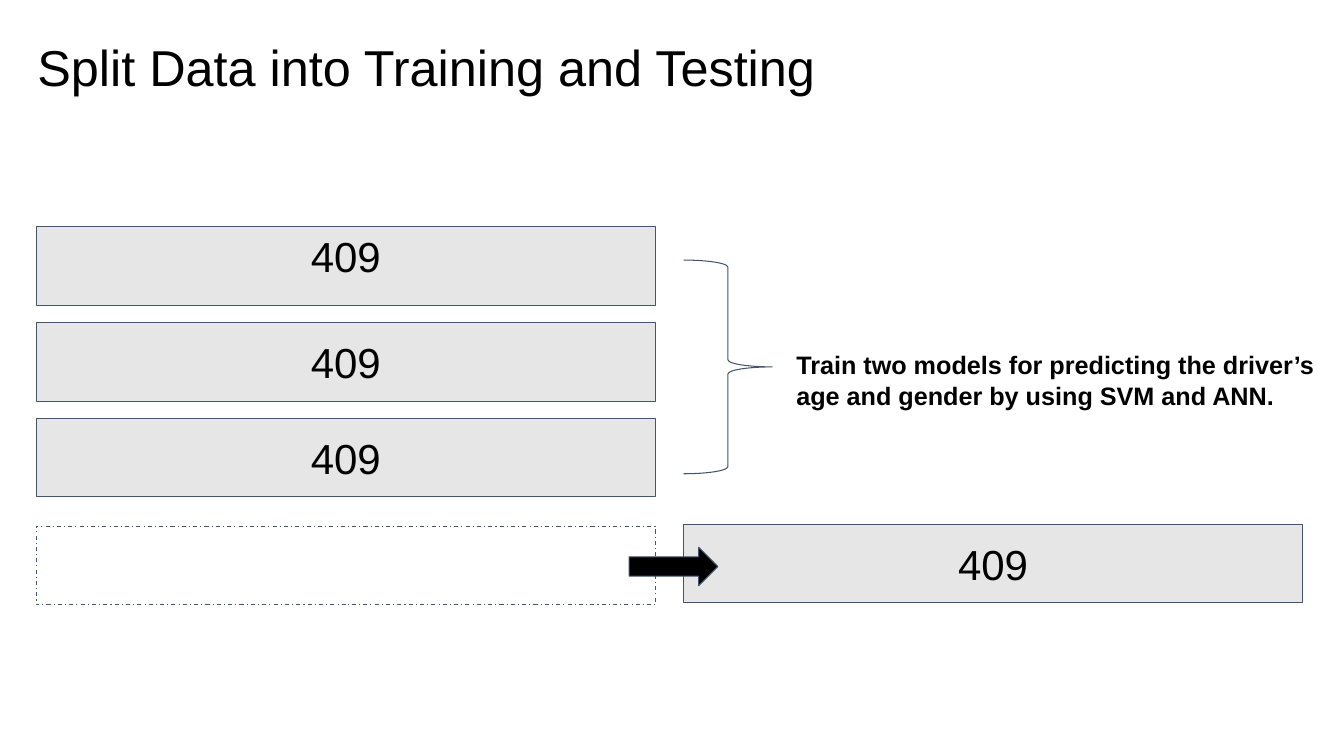
from dataclasses import dataclass
from typing import NamedTuple, Optional

from pptx import Presentation
from pptx.dml.color import RGBColor
from pptx.enum.dml import MSO_LINE
from pptx.enum.shapes import MSO_SHAPE as Preset
from pptx.enum.text import MSO_ANCHOR as Anchor, MSO_AUTO_SIZE as AutoSize, PP_ALIGN as Align
from pptx.util import Inches, Pt

SLIDE_WIDTH, SLIDE_HEIGHT = Inches(13.33), Inches(7.5)


@dataclass(frozen=True)
class Theme:
    font: str = "Arial"
    ink: RGBColor = RGBColor(0x00, 0x00, 0x00)
    paper: RGBColor = RGBColor(0xFF, 0xFF, 0xFF)
    bar: RGBColor = RGBColor(0xE7, 0xE6, 0xE6)
    outline: RGBColor = RGBColor(0x44, 0x54, 0x6A)
    outline_width: float = 0.75
    title_size: int = 36
    count_size: int = 30
    note_size: int = 18


THEME = Theme()


class Area(NamedTuple):
    """A rectangle in percent of the slide's width and height."""
    left: float
    top: float
    width: float
    height: float

    def emu(self) -> tuple[int, int, int, int]:
        return (int(SLIDE_WIDTH * self.left / 100), int(SLIDE_HEIGHT * self.top / 100),
                int(SLIDE_WIDTH * self.width / 100), int(SLIDE_HEIGHT * self.height / 100))


@dataclass(frozen=True)
class Figure:
    area: Area
    preset: Preset = Preset.RECTANGLE
    fill: Optional[RGBColor] = THEME.bar
    text: str = ""
    anchor: Anchor = Anchor.MIDDLE
    inset_top: float = 0.1
    dash: Optional[MSO_LINE] = None
    adjustments: tuple[float, ...] = ()


TITLE_AREA = Area(2.03, 3.47, 65.87, 13.6)
NOTE_AREA = Area(58.51, 44.93, 40.89, 13.6)
LEFT_COLUMN, RIGHT_COLUMN = 2.7, 50.86
BAR_WIDTH, BAR_HEIGHT = 46.06, 10.4
FIRST_ROW, ROW_PITCH = 30, 12.67
TRAINING_BARS = 3
COUNT = "409"


def bar_area(left: float, top: float) -> Area:
    return Area(left, top, BAR_WIDTH, BAR_HEIGHT)


def training_bar(row: int) -> Figure:
    """The first bar carries its count higher than the others."""
    area = bar_area(LEFT_COLUMN, FIRST_ROW + row * ROW_PITCH)
    if row == 0:
        return Figure(area, text=COUNT, anchor=Anchor.TOP, inset_top=0.04)
    return Figure(area, text=COUNT)


FIGURES = [
    Figure(bar_area(RIGHT_COLUMN, 69.33), text=COUNT),
    *map(training_bar, range(TRAINING_BARS)),
    Figure(bar_area(LEFT_COLUMN, 69.6), fill=THEME.paper, dash=MSO_LINE.DASH_DOT),
    Figure(Area(46.81, 72.4, 6.6, 5.07), Preset.RIGHT_ARROW, THEME.ink, adjustments=(0.5, 0.5)),
    Figure(Area(RIGHT_COLUMN, 34.4, 6.6, 28.27), Preset.RIGHT_BRACE, None,
           adjustments=(0.08, 0.5)),
]


def write(box, text: str, *, size: int, bold: bool = False, align: Align = Align.LEFT,
          anchor: Anchor = Anchor.TOP, inset_top: float = 0.1) -> None:
    frame = box.text_frame
    frame.word_wrap = True
    frame.auto_size = AutoSize.NONE
    frame.vertical_anchor = anchor
    frame.margin_left = frame.margin_right = frame.margin_bottom = Inches(0.1)
    frame.margin_top = Inches(inset_top)
    para = frame.paragraphs[0]
    para.alignment = align
    span = para.add_run()
    span.text = text
    span.font.name = THEME.font
    span.font.size = Pt(size)
    span.font.bold = bold
    span.font.color.rgb = THEME.ink


def draw(page, figure: Figure) -> None:
    shape = page.shapes.add_shape(figure.preset, *figure.area.emu())
    shape.shadow.inherit = False
    for index, value in enumerate(figure.adjustments):
        shape.adjustments[index] = value
    if figure.fill is None:
        shape.fill.background()
    else:
        shape.fill.solid()
        shape.fill.fore_color.rgb = figure.fill
    shape.line.color.rgb = THEME.outline
    shape.line.width = Pt(THEME.outline_width)
    if figure.dash is not None:
        shape.line.dash_style = figure.dash
    if figure.text:
        write(shape, figure.text, size=THEME.count_size, align=Align.CENTER,
              anchor=figure.anchor, inset_top=figure.inset_top)


def main() -> None:
    deck = Presentation()
    deck.slide_width, deck.slide_height = SLIDE_WIDTH, SLIDE_HEIGHT
    title_only = deck.slide_layouts[5]
    page = deck.slides.add_slide(title_only)

    title = page.shapes.title
    title.left, title.top, title.width, title.height = TITLE_AREA.emu()
    write(title, "Split Data into Training and Testing", size=THEME.title_size)

    for figure in FIGURES:
        draw(page, figure)

    note = page.shapes.add_textbox(*NOTE_AREA.emu())
    write(note, "Train two models for predicting the driver’s age and gender by using SVM and ANN.",
          size=THEME.note_size, bold=True)

    deck.save("out.pptx")


if __name__ == "__main__":
    main()
